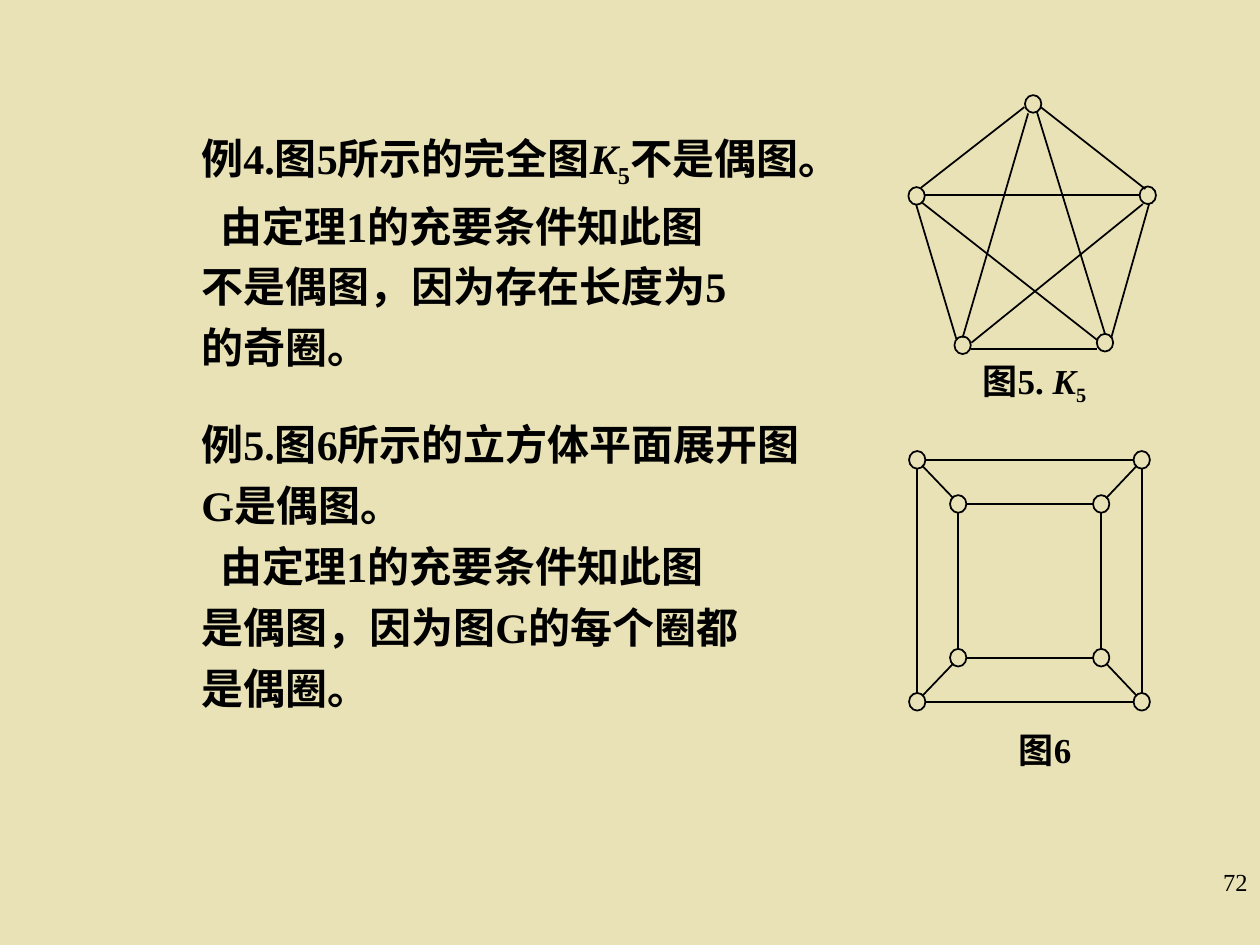
import math
from itertools import product
from lxml import etree
from pptx import Presentation, util as u
from pptx.dml.color import RGBColor
from pptx.enum import shapes, text
from pptx.oxml import ns

COLUMNS, ROWS = 100, 75
INK = RGBColor.from_string("000000")
LATIN, ASIAN = "Times New Roman", "Noto Sans CJK SC"

deck = Presentation()
deck.slide_width, deck.slide_height = u.Inches(10), u.Inches(7.5)
column, row = deck.slide_width / COLUMNS, deck.slide_height / ROWS
page = deck.slides.add_slide(deck.slide_layouts[6])
page.background.fill.solid()
page.background.fill.fore_color.rgb = RGBColor.from_string("E9E2B6")


def write(left, top, width, height, lines, size, align, bold=True, inset=0.0):
    box = page.shapes.add_textbox(int(left * column), int(top * row),
                                  int(width * column), int(height * row))
    frame = box.text_frame
    frame.word_wrap = True
    frame.margin_left = frame.margin_right = int(inset * column)
    frame.margin_top = frame.margin_bottom = int(inset / 2 * row)
    for index, (spans, indent, gap) in enumerate(lines):
        para = frame.paragraphs[0] if index == 0 else frame.add_paragraph()
        para.alignment = align
        if gap:
            para.space_before = u.Pt(gap)
        font = para.font
        font.size, font.bold, font.name = u.Pt(size), bold, LATIN
        font.color.rgb = INK
        properties = para._p.pPr
        properties.set("indent", str(int(indent * column)))
        etree.SubElement(properties.find(ns.qn("a:defRPr")), ns.qn("a:ea"), typeface=ASIAN)
        for words, style in spans:
            span = para.add_run()
            span.text = words
            if style == "italic":
                span.font.italic = True
            if style == "sub":
                span.font._element.set("baseline", "-25000")


def join(x1, y1, x2, y2):
    edge = page.shapes.add_connector(shapes.MSO_CONNECTOR.STRAIGHT,
                                     int(x1 * column), int(y1 * row),
                                     int(x2 * column), int(y2 * row))
    edge.line.color.rgb = INK
    edge.line.width = u.Pt(1)
    etree.SubElement(edge._element.spPr, ns.qn("a:effectLst"))


k5 = [("K", "italic"), ("5", "sub")]
body = [
    ([("例4.图5所示的完全图", "")] + k5 + [("不是偶图。", "")], 0, 0),
    ([("由定理1的充要条件知此图", "")], 1.5, 6),
    ([("不是偶图，因为存在长度为5", "")], 0, 6),
    ([("的奇圈。", "")], 0, 6),
    ([("例5.图6所示的立方体平面展开图", "")], 0, 26.5),
    ([("G是偶图。", "")], 0, 6),
    ([("由定理1的充要条件知此图", "")], 1.5, 6),
    ([("是偶图，因为图G的每个圈都", "")], 0, 6),
    ([("是偶圈。", "")], 0, 6),
]
write(15, 10, 83.3, 62.5, body, 24, text.PP_ALIGN.JUSTIFY, inset=1)
write(76.85, 28.5, 10.5, 3.8, [([("图5. ", "")] + k5, 0, 0)], 20, text.PP_ALIGN.CENTER)
write(79.65, 57.8, 6.6, 3.3, [([("图6", "")], 0, 0)], 20, text.PP_ALIGN.CENTER)
write(79.2, 68.3, 20.8, 5, [([("72", "")], 0, 0)], 14, text.PP_ALIGN.RIGHT,
      bold=False, inset=1)

pentagon = [(82, 8.25), (72.75, 15.55), (91.1, 15.5), (76.4, 27.4), (87.7, 27.2)]
pentagon_edges = [
    (81.3, 8.5, 73.1, 14.9), (82.6, 8.5, 90.9, 15), (91.2, 16.2, 88.2, 26.8),
    (77.1, 27.7, 87.1, 27.7), (72.7, 16.2, 75.9, 26.9), (77.1, 27.2, 90.7, 16.2),
    (81.6, 9, 76.4, 26.8), (73.4, 15.5, 90.5, 15.5), (82.3, 8.9, 87.7, 26.5),
    (73.2, 16.1, 87.1, 27),
]
for ends in pentagon_edges:
    join(*ends)

outer = list(product((72.8, 90.62), (36.5, 55.7)))
inner = list(product((76.05, 87.4), (40, 52.2)))
ring = [(0, 1), (1, 3), (3, 2), (2, 0)]
cube_edges = [(square[a], square[b]) for square in (outer, inner) for a, b in ring]
cube_edges += list(zip(outer, inner))
node_width, node_height = 1.3, 1.4
for (x1, y1), (x2, y2) in cube_edges:
    length = math.dist((x1, y1), (x2, y2))
    trim_x = (x2 - x1) / length * node_width / 2
    trim_y = (y2 - y1) / length * node_height / 2
    join(x1 + trim_x, y1 + trim_y, x2 - trim_x, y2 - trim_y)

for x, y in pentagon + outer + inner:
    node = page.shapes.add_shape(shapes.MSO_SHAPE.OVAL,
                                 int((x - node_width / 2) * column),
                                 int((y - node_height / 2) * row),
                                 int(node_width * column), int(node_height * row))
    node.shadow.inherit = False
    node.fill.background()
    node.line.color.rgb = INK
    node.line.width = u.Pt(1)

deck.save("out.pptx")
